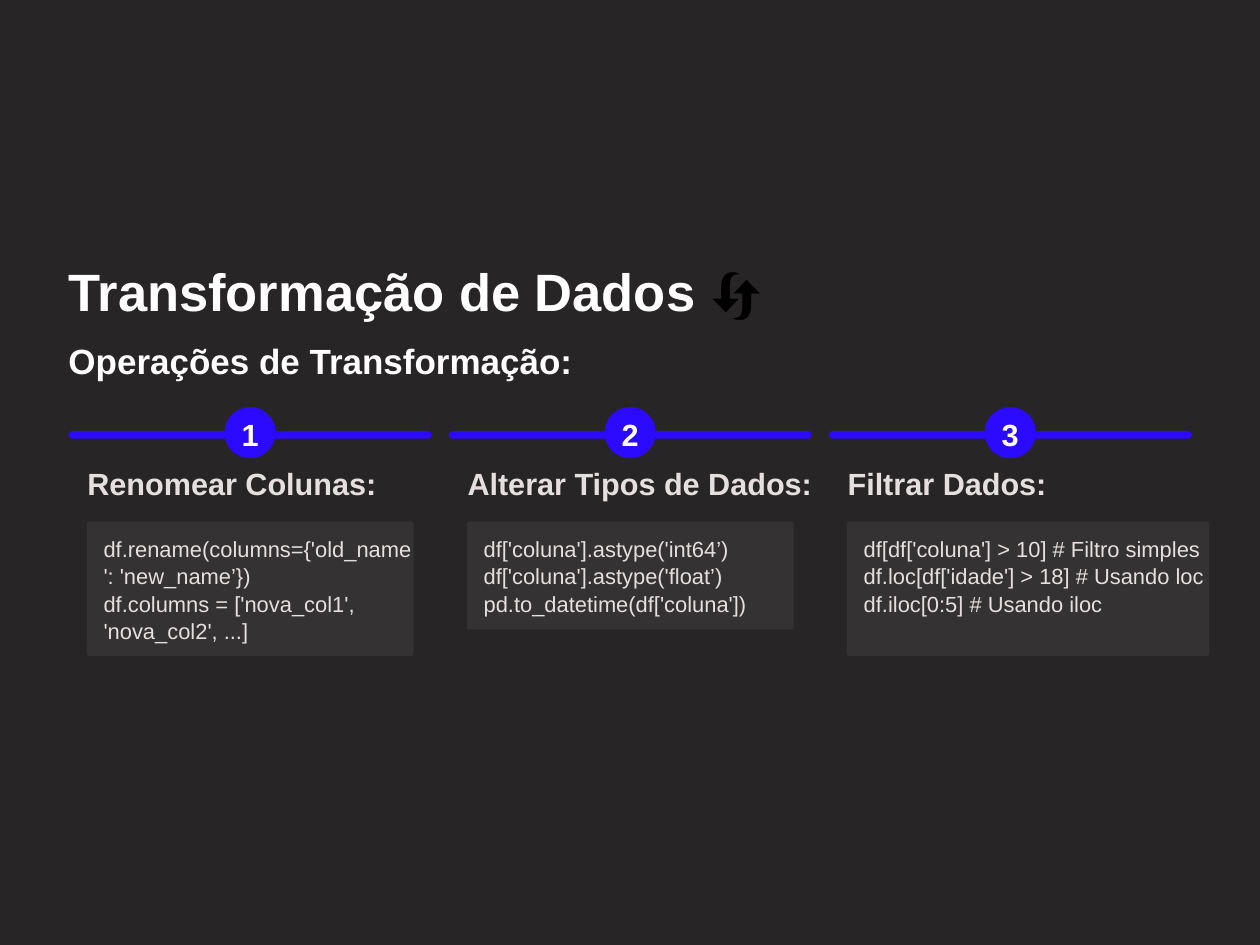
from dataclasses import dataclass

from pptx import Presentation
from pptx import util as u
from pptx.dml.color import RGBColor
from pptx.enum import shapes, text


@dataclass(frozen=True)
class Theme:
    font: str = "Arial"
    background: RGBColor = RGBColor(0x27, 0x25, 0x25)
    panel: RGBColor = RGBColor(0x34, 0x32, 0x32)
    accent: RGBColor = RGBColor(0x2B, 0x0A, 0xFF)
    white: RGBColor = RGBColor(0xFF, 0xFF, 0xFF)
    pale: RGBColor = RGBColor(0xE5, 0xE0, 0xDF)
    black: RGBColor = RGBColor(0, 0, 0)
    title: int = 48
    subtitle: int = 32
    heading: int = 28
    code: int = 20


THEME = Theme()


@dataclass(frozen=True)
class Box:
    """Position and size in centimetres."""
    left: float
    top: float
    width: float
    height: float

    def lengths(self) -> tuple:
        return (u.Cm(self.left), u.Cm(self.top),
                u.Cm(self.width), u.Cm(self.height))


@dataclass(frozen=True)
class Style:
    size: int
    leading: float
    color: RGBColor
    bold: bool = True
    wrap: bool = False
    align: text.PP_ALIGN = text.PP_ALIGN.LEFT


@dataclass(frozen=True)
class Operation:
    heading: str
    heading_width: float
    code: tuple
    code_lines: int
    panel_width: float
    panel_height: float


TITLE = Style(THEME.title, 48.5, THEME.white)
SUBTITLE = Style(THEME.subtitle, 29, THEME.white)
NUMBER = Style(THEME.heading, 30, THEME.white, align=text.PP_ALIGN.CENTER)
HEADING = Style(THEME.heading, 24, THEME.pale)
CODE = Style(THEME.code, 25, THEME.pale, bold=False, wrap=True)

OPERATIONS = (
    Operation("Renomear Colunas:", 6.88,
              ("df.rename(columns={'old_name': 'new_name’})",
               "df.columns = ['nova_col1', 'nova_col2', ...]"),
              4, 10.54, 4.34),
    Operation("Alterar Tipos de Dados:", 7.9,
              ("df['coluna'].astype('int64’)",
               "df['coluna'].astype('float’)",
               "pd.to_datetime(df['coluna'])"),
              3, 10.54, 3.48),
    Operation("Filtrar Dados:", 6.88,
              ("df[df['coluna'] > 10] # Filtro simples",
               "df.loc[df['idade'] > 18] # Usando loc",
               "df.iloc[0:5] # Usando iloc"),
              3, 11.68, 4.34),
)

# Column grid, in centimetres
MARGIN = 2.21
PITCH = 12.26
BAR_WIDTH = 11.71
BADGE = 1.65
NUMBER_WIDTH = 0.66
CODE_LINE = 0.88


def write(frame, lines: tuple, style: Style) -> None:
    frame.margin_left = frame.margin_right = 0
    frame.margin_top = frame.margin_bottom = 0
    frame.auto_size = text.MSO_AUTO_SIZE.NONE
    frame.vertical_anchor = text.MSO_ANCHOR.TOP
    frame.word_wrap = style.wrap
    frame.text = "\n".join(lines)
    for paragraph in frame.paragraphs:
        paragraph.alignment = style.align
        paragraph.line_spacing = u.Pt(style.leading)
        for run in paragraph.runs:
            format_run(run, style, style.color)


def format_run(run, style: Style, color: RGBColor) -> None:
    run.font.name = THEME.font
    run.font.size = u.Pt(style.size)
    run.font.bold = style.bold
    run.font.color.rgb = color


def add_text(slide, box: Box, lines: tuple, style: Style) -> None:
    write(slide.shapes.add_textbox(*box.lengths()).text_frame, lines, style)


def add_rounded(slide, box: Box, color: RGBColor, rounding: float) -> None:
    rounded = slide.shapes.add_shape(
        shapes.MSO_SHAPE.ROUNDED_RECTANGLE, *box.lengths())
    rounded.adjustments[0] = rounding
    rounded.shadow.inherit = False
    rounded.fill.solid()
    rounded.fill.fore_color.rgb = color
    rounded.line.fill.background()


def add_title(slide) -> None:
    title = slide.shapes.title
    title.left, title.top, title.width, title.height = Box(
        MARGIN, 8.69, 23, 1.75).lengths()
    write(title.text_frame, ("Transformação de Dados ",), TITLE)
    symbol = title.text_frame.paragraphs[0].add_run()
    symbol.text = "🔄"
    format_run(symbol, TITLE, THEME.black)


def add_operation(slide, index: int, operation: Operation) -> None:
    left = MARGIN + index * PITCH
    center = left + BAR_WIDTH / 2

    # Numbered bar
    add_rounded(slide, Box(left, 13.9, BAR_WIDTH, 0.25), THEME.accent, 0.5)
    add_rounded(slide, Box(center - BADGE / 2, 13.13, BADGE, BADGE),
                THEME.accent, 0.5)
    add_text(slide, Box(center - NUMBER_WIDTH / 2, 13.54, NUMBER_WIDTH, 0.84),
             (str(index + 1),), NUMBER)

    # Heading and code panel
    add_text(slide, Box(left + 0.61, 15.34, operation.heading_width, 0.86),
             (operation.heading,), HEADING)
    add_rounded(slide, Box(left + 0.59, 16.82, operation.panel_width,
                           operation.panel_height), THEME.panel, 0.02)
    add_text(slide, Box(left + 1.13, 17.24, operation.panel_width - 0.56,
                        operation.code_lines * CODE_LINE),
             operation.code, CODE)


def main() -> None:
    deck = Presentation()
    deck.slide_width, deck.slide_height = u.Cm(40.64), u.Cm(30.48)
    slide = deck.slides.add_slide(deck.slide_layouts.get_by_name("Title Only"))
    slide.background.fill.solid()
    slide.background.fill.fore_color.rgb = THEME.background

    # Title and subtitle
    add_title(slide)
    add_text(slide, Box(MARGIN, 11.28, 12.24, 1.04),
             ("Operações de Transformação:",), SUBTITLE)

    # Three operations
    for index, operation in enumerate(OPERATIONS):
        add_operation(slide, index, operation)

    deck.save("out.pptx")


if __name__ == "__main__":
    main()
